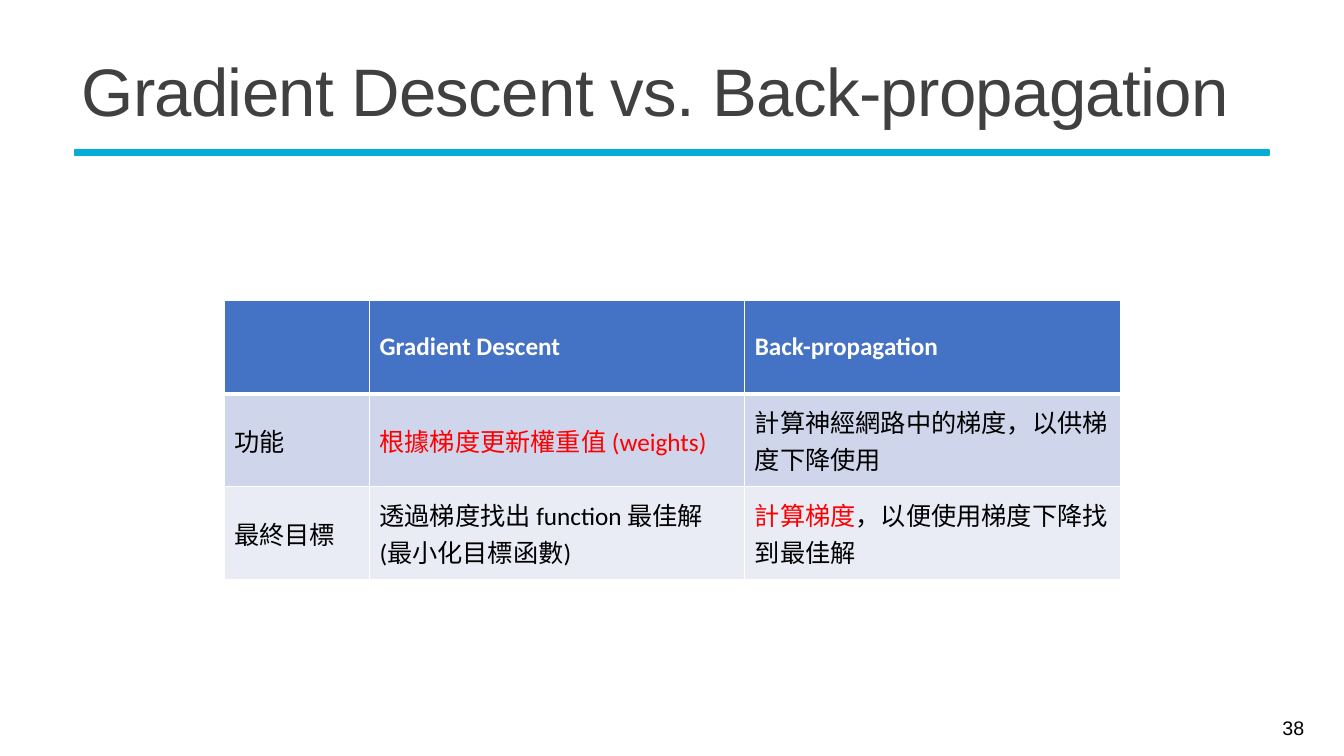
"""Build a slide comparing gradient descent with back-propagation."""
from lxml.etree import SubElement
from pptx import Presentation
from pptx.dml.color import RGBColor
from pptx.enum.shapes import MSO_SHAPE as SHAPE
from pptx.enum.text import MSO_ANCHOR as ANCHOR, MSO_AUTO_SIZE as AUTO, PP_ALIGN as ALIGN
from pptx.oxml.ns import qn
from pptx.util import Cm, Pt

COLORS = {"accent": "05AED6", "title": "404040", "text": "000000", "red": "FF0000",
          "white": "FFFFFF", "header": "4472C4", "odd": "CFD5EA", "even": "E9EBF5"}
TITLE = "Gradient Descent vs. Back-propagation"
PAGE = "38"
ROWS = [
    ("header", [[],
                [("Gradient Descent", "white")],
                [("Back-propagation", "white")]]),
    ("odd", [[("功能", "text")],
             [("根據梯度更新權重值 (weights)", "red")],
             [("計算神經網路中的梯度，以供梯度下降使用", "text")]]),
    ("even", [[("最終目標", "text")],
              [("透過梯度找出 function 最佳解 (最小化目標函數)", "text")],
              [("計算梯度", "red"), ("，以便使用梯度下降找到最佳解", "text")]]),
]
COL_WIDTHS = [3.66, 9.46, 9.46]
ROW_HEIGHT = 2.34
FORMATS = {
    "title": {"name": "Arial", "size": Pt(48), "bold": False},
    "page": {"name": "Arial", "size": Pt(14)},
    "header": {"name": "Calibri", "size": Pt(18), "bold": True},
    "body": {"name": "Calibri", "size": Pt(18), "bold": False},
}


def rgb(name):
    return RGBColor.from_string(COLORS[name])


def add_run(p, text, style, color):
    r = p.add_run()
    r.text = text
    for key, value in FORMATS[style].items():
        setattr(r.font, key, value)
    r.font.color.rgb = rgb(color)
    return r


def set_frame(tf, align):
    for key, value in {"word_wrap": True, "auto_size": AUTO.NONE,
                       "vertical_anchor": ANCHOR.MIDDLE}.items():
        setattr(tf, key, value)
    p = tf.paragraphs[0]
    p.alignment = align
    return p


def set_borders(cell, top, bottom):
    tc_pr = cell._tc.get_or_add_tcPr()
    for side, width in {"L": 1, "R": 1, "T": top, "B": bottom}.items():
        ln = SubElement(tc_pr, qn(f"a:ln{side}"), w=str(Pt(width)))
        fill = SubElement(ln, qn("a:solidFill"))
        SubElement(fill, qn("a:srgbClr"), val=COLORS["white"])


def add_title(s):
    sp = s.shapes.title
    sp.left, sp.top, sp.width, sp.height = Cm(1.8), Cm(0.99), Cm(30.33), Cm(2.87)
    p = set_frame(sp.text_frame, ALIGN.LEFT)
    p.line_spacing = 0.85
    r = add_run(p, TITLE, "title", "title")
    r.font._element.set("spc", "-50")


def add_rule(s):
    sp = s.shapes.add_shape(SHAPE.RECTANGLE, Cm(1.88), Cm(3.78), Cm(30.1), Cm(0.13))
    sp.shadow.inherit = False
    sp.fill.solid()
    sp.fill.fore_color.rgb = rgb("accent")
    sp.line.color.rgb = rgb("accent")
    sp.line.width = Pt(1.25)


def add_page_number(s):
    sp = s.shapes.add_textbox(Cm(29.49), Cm(17.83), Cm(3.63), Cm(1.02))
    add_run(set_frame(sp.text_frame, ALIGN.RIGHT), PAGE, "page", "text")


def add_comparison(s):
    table = s.shapes.add_table(len(ROWS), len(COL_WIDTHS), Cm(5.65), Cm(7.58),
                               Cm(sum(COL_WIDTHS)), Cm(ROW_HEIGHT * len(ROWS))).table
    for col, width in zip(table.columns, COL_WIDTHS):
        col.width = Cm(width)
    for i, (band, cells) in enumerate(ROWS):
        table.rows[i].height = Cm(ROW_HEIGHT)
        style = "header" if i == 0 else "body"
        for j, runs in enumerate(cells):
            cell = table.cell(i, j)
            set_borders(cell, 3 if i == 1 else 1, 3 if i == 0 else 1)
            cell.fill.solid()
            cell.fill.fore_color.rgb = rgb(band)
            cell.vertical_anchor = ANCHOR.MIDDLE
            for text, color in runs:
                add_run(cell.text_frame.paragraphs[0], text, style, color)


def main():
    prs = Presentation()
    prs.slide_width, prs.slide_height = Cm(33.87), Cm(19.05)
    s = prs.slides.add_slide(prs.slide_layouts[5])
    add_rule(s)
    add_title(s)
    add_page_number(s)
    add_comparison(s)
    prs.save("out.pptx")


if __name__ == "__main__":
    main()
